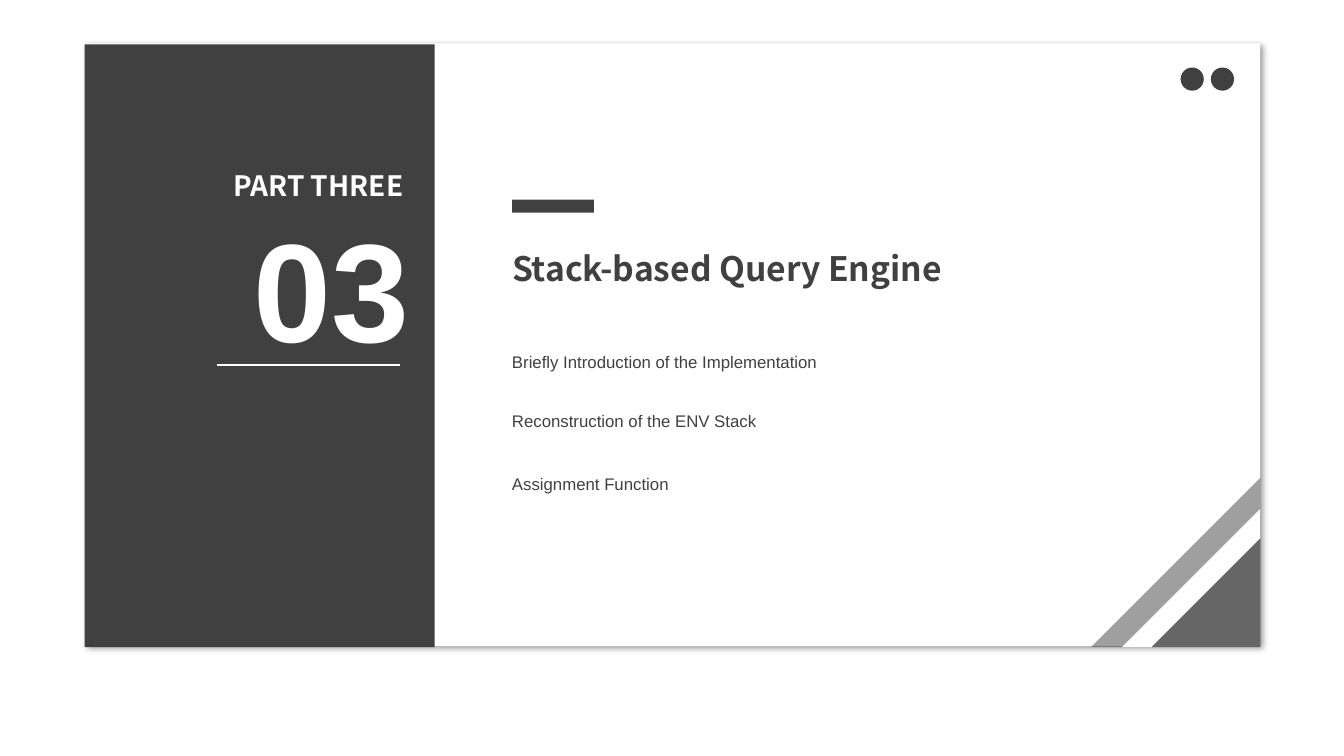
from lxml.etree import SubElement
from pptx import Presentation
from pptx.dml.color import RGBColor
from pptx.enum.shapes import MSO_CONNECTOR as Connector, MSO_SHAPE as Shape
from pptx.enum.text import MSO_ANCHOR as Anchor, PP_ALIGN as Align
from pptx.oxml.ns import qn
from pptx.util import Inches, Pt

CHARCOAL = RGBColor(0x40, 0x40, 0x40)
WHITE = RGBColor(0xFF, 0xFF, 0xFF)
CELL = Inches(0.1)  # grid of 133.3 columns by 75 rows


class SlideBuilder:
    body_font = "Arial"
    title_font = "Noto Sans CJK SC"

    def __init__(self, deck):
        self.slide = deck.slides.add_slide(deck.slide_layouts[6])

    def cells(self, *counts):
        return [round(count * CELL) for count in counts]

    def block(self, kind, col, row, cols, rows, color, opacity=100):
        block = self.slide.shapes.add_shape(kind, *self.cells(col, row, cols, rows))
        block.shadow.inherit = False
        block.fill.solid()
        block.fill.fore_color.rgb = color
        block.line.fill.background()
        if opacity < 100:
            tint = block.fill._xPr.find(".//" + qn("a:srgbClr"))
            SubElement(tint, qn("a:alpha"), val=str(opacity * 1000))
        return block

    def card(self, col, row, cols, rows):
        card = self.block(Shape.RECTANGLE, col, row, cols, rows, WHITE)
        effects = card._element.spPr.find(qn("a:effectLst"))
        shadow = SubElement(effects, qn("a:outerShdw"), blurRad=str(Pt(4)),
                            dist=str(Pt(3)), dir=str(45 * 60000),
                            algn="tl", rotWithShape="0")
        black = SubElement(shadow, qn("a:srgbClr"), val="000000")
        SubElement(black, qn("a:alpha"), val="40000")

    def corner(self, right, bottom, side, color, opacity=100):
        triangle = self.block(Shape.RIGHT_TRIANGLE, right - side, bottom - side,
                              side, side, color, opacity)
        triangle._element.spPr.find(qn("a:xfrm")).set("flipH", "1")

    def rule(self, col, row, cols, color, width):
        rule = self.slide.shapes.add_connector(
            Connector.STRAIGHT, *self.cells(col, row, col + cols, row))
        rule.line.color.rgb = color
        rule.line.width = Pt(width)
        SubElement(rule._element.spPr, qn("a:effectLst"))

    def text(self, words, col, row, cols, rows, size, color, font=body_font,
             bold=False, align=Align.LEFT, spacing=None):
        frame = self.slide.shapes.add_textbox(*self.cells(col, row, cols, rows)).text_frame
        frame.word_wrap = True
        frame.vertical_anchor = Anchor.TOP
        paragraph = frame.paragraphs[0]
        paragraph.alignment = align
        if spacing:
            paragraph.line_spacing = spacing
        run = paragraph.add_run()
        run.text = words
        run.font.name = font
        run.font.size = Pt(size)
        run.font.bold = bold
        run.font.color.rgb = color


def main():
    deck = Presentation()
    deck.slide_width, deck.slide_height = Inches(13.33), Inches(7.5)
    page = SlideBuilder(deck)

    # Card and dark side panel
    page.card(8.4, 4.3, 116.6, 59.8)
    page.block(Shape.RECTANGLE, 8.4, 4.4, 34.7, 59.8, CHARCOAL)

    # Corner stripes
    for side, color, opacity in ((16.8, CHARCOAL, 50), (13.7, WHITE, 100),
                                 (10.8, CHARCOAL, 80)):
        page.corner(125, 64.2, side, color, opacity)

    # Part number
    page.text("03", 21, 19.6, 20.6, 17.8, 100, WHITE, bold=True, align=Align.RIGHT)
    page.text("PART THREE", 21, 16.2, 20, 4.4, 20, WHITE, page.title_font,
              bold=True, align=Align.RIGHT)
    page.rule(21.5, 36.2, 18.2, WHITE, 1.5)

    # Section title
    page.block(Shape.RECTANGLE, 50.8, 19.8, 8.1, 1.3, CHARCOAL)
    page.text("Stack-based Query Engine", 49.8, 24.1, 47.8, 5, 24, CHARCOAL,
              page.title_font, bold=True, align=Align.JUSTIFY)

    # Topics
    for topic, row in (("Briefly Introduction of the Implementation", 33.4),
                       ("Reconstruction of the ENV Stack", 39.3),
                       ("Assignment Function", 45.5)):
        page.text(topic, 49.8, row, 61.4, 3.7, 12, CHARCOAL, spacing=1.5)

    # Corner dots
    for dot in range(2):
        page.block(Shape.OVAL, 117.1 + 3 * dot, 6.7, 2.3, 2.3, CHARCOAL)

    deck.save("out.pptx")


if __name__ == "__main__":
    main()
